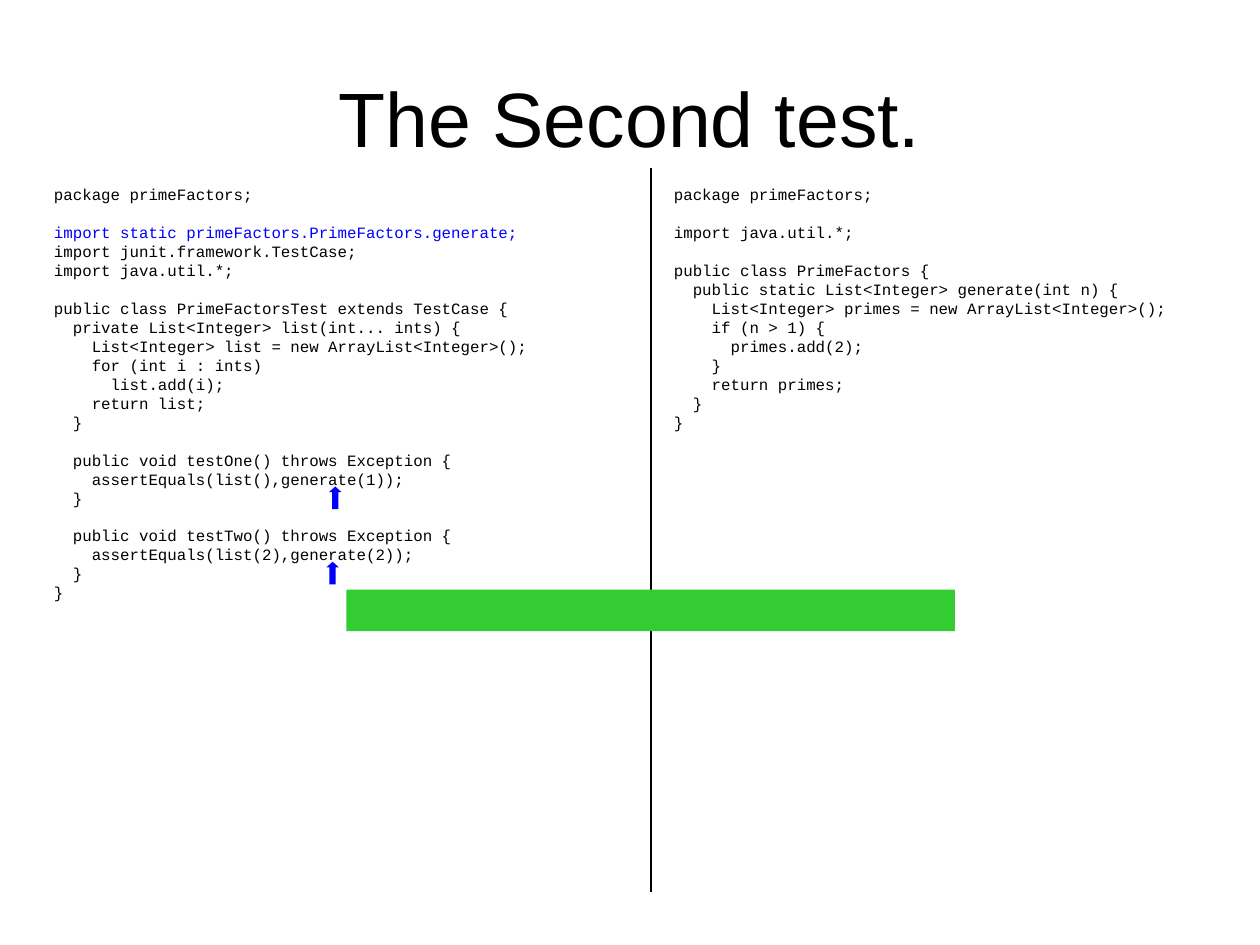
from dataclasses import dataclass

from lxml import etree
from pptx import Presentation
from pptx.dml.color import RGBColor
from pptx.enum.shapes import MSO_CONNECTOR, MSO_SHAPE
from pptx.enum.text import MSO_ANCHOR, MSO_AUTO_SIZE, PP_ALIGN
from pptx.oxml.ns import qn
from pptx.slide import Slide
from pptx.util import Pt

RECTANGLE, UP_ARROW = MSO_SHAPE.RECTANGLE, MSO_SHAPE.UP_ARROW
STRAIGHT = MSO_CONNECTOR.STRAIGHT
MIDDLE, TOP = MSO_ANCHOR.MIDDLE, MSO_ANCHOR.TOP
CENTER, LEFT = PP_ALIGN.CENTER, PP_ALIGN.LEFT
NO_AUTOFIT = MSO_AUTO_SIZE.NONE

BLACK = RGBColor(0x00, 0x00, 0x00)
BLUE = RGBColor(0x00, 0x00, 0xFF)
GREEN = RGBColor(0x33, 0xCC, 0x33)

LINE_HEIGHT = Pt(10.83)

TEST_CODE = """\
package primeFactors;

import static primeFactors.PrimeFactors.generate;
import junit.framework.TestCase;
import java.util.*;

public class PrimeFactorsTest extends TestCase {
  private List<Integer> list(int... ints) {
    List<Integer> list = new ArrayList<Integer>();
    for (int i : ints)
      list.add(i);
    return list;
  }

  public void testOne() throws Exception {
    assertEquals(list(),generate(1));
  }

  public void testTwo() throws Exception {
    assertEquals(list(2),generate(2));
  }
}"""

PRIME_CODE = """\
package primeFactors;

import java.util.*;

public class PrimeFactors {
  public static List<Integer> generate(int n) {
    List<Integer> primes = new ArrayList<Integer>();
    if (n > 1) {
      primes.add(2);
    }
    return primes;
  }
}"""


@dataclass
class Listing:
    left: float
    height: float
    code: str


@dataclass
class Mark:
    kind: MSO_SHAPE
    left: float
    top: float
    width: float
    height: float
    color: RGBColor


LISTINGS = [
    Listing(23.76, 245.5, TEST_CODE),
    Listing(378, 148.3, PRIME_CODE),
]
MARKS = [
    Mark(RECTANGLE, 198, 337, 347.76, 23.76, GREEN),
    Mark(UP_ARROW, 188, 278, 7.2, 12.96, BLUE),
    Mark(UP_ARROW, 186.5, 321, 7.2, 12.96, BLUE),
]


def set_title(page: Slide, text: str) -> None:
    title = page.shapes.title
    title.left, title.top = Pt(36), Pt(21.6)
    title.width, title.height = Pt(648), Pt(90)
    frame = title.text_frame
    frame.text = text
    frame.auto_size = NO_AUTOFIT
    frame.vertical_anchor = MIDDLE
    para = frame.paragraphs[0]
    para.alignment = CENTER
    font = para.runs[0].font
    font.name, font.size = "Arial", Pt(44)
    font.color.rgb = BLACK


def add_listing(page: Slide, listing: Listing) -> None:
    box = page.shapes.add_textbox(
        Pt(listing.left), Pt(102.2), Pt(318.24), Pt(listing.height))
    frame = box.text_frame
    frame.word_wrap = True
    frame.vertical_anchor = TOP
    blocks = listing.code.split("\n\n")
    frame.text = "\n".join(blocks)
    # Each block after the first is set off by the height of one line
    block_starts = set()
    row = 0
    for block in blocks[:-1]:
        row += len(block.splitlines())
        block_starts.add(row)
    for index, para in enumerate(frame.paragraphs):
        para.alignment = LEFT
        para.line_spacing = LINE_HEIGHT
        para.space_before = LINE_HEIGHT if index in block_starts else Pt(0)
        font = para.runs[0].font
        font.name, font.size = "Courier New", Pt(9)
        font.color.rgb = BLUE if para.text.startswith("import static") else BLACK


def add_divider(page: Slide) -> None:
    divider = page.shapes.add_connector(
        STRAIGHT, Pt(372), Pt(96), Pt(372), Pt(510))
    divider.line.color.rgb = BLACK
    divider.line.width = Pt(0.75)
    etree.SubElement(divider._element.spPr, qn("a:effectLst"))


def add_mark(page: Slide, mark: Mark) -> None:
    shape = page.shapes.add_shape(
        mark.kind, Pt(mark.left), Pt(mark.top), Pt(mark.width), Pt(mark.height))
    shape.shadow.inherit = False
    shape.fill.solid()
    shape.fill.fore_color.rgb = mark.color
    shape.line.fill.background()
    if mark.kind == UP_ARROW:
        shape.adjustments[1] = 0.45


def main() -> None:
    deck = Presentation()
    deck.slide_width, deck.slide_height = Pt(720), Pt(540)
    page = deck.slides.add_slide(deck.slide_layouts.get_by_name("Title Only"))

    set_title(page, "The Second test.")

    # Test and production code on either side of the divider
    test_listing, prime_listing = LISTINGS
    add_listing(page, test_listing)
    add_divider(page)
    add_listing(page, prime_listing)

    # Green bar and arrows pointing at the calls
    for mark in MARKS:
        add_mark(page, mark)

    deck.save("out.pptx")


if __name__ == "__main__":
    main()
